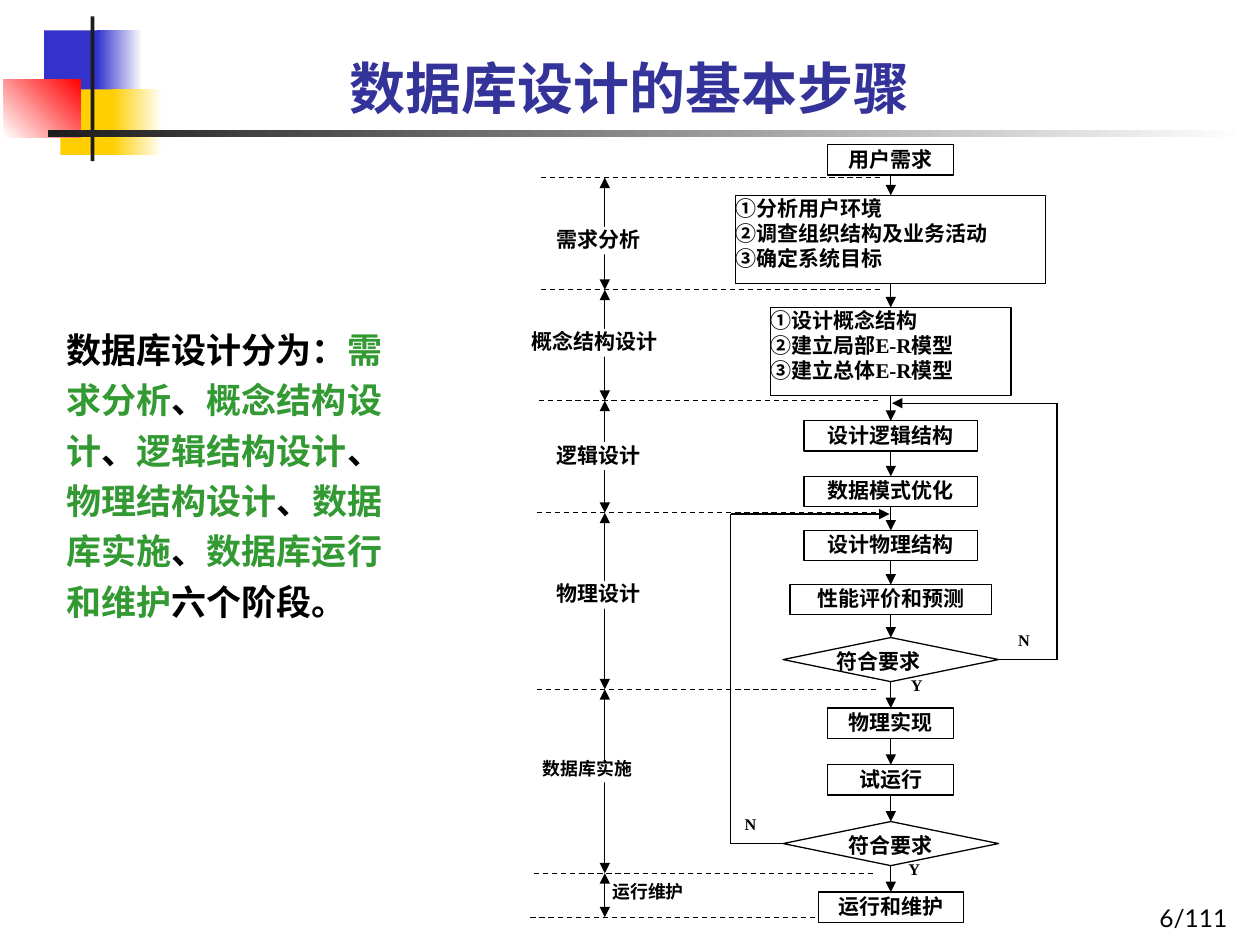
from lxml import etree
from pptx import Presentation
from pptx.dml.color import RGBColor
from pptx.enum import dml, shapes, text
from pptx.oxml.ns import qn
from pptx.util import Inches, Pt

THEME = {
    "black": "000000", "white": "FFFFFF", "title": "333399", "accent": "339933",
    "blue": "3333CC", "yellow": "FFCF01", "red": "FF0000", "bar": "1C1C1C",
    "heading_font": "Lato", "diagram_font": "Times New Roman",
    "title_size": 32, "body_size": 20, "page_size": 14,
    "step_size": 12, "small_size": 10.2, "branch_size": 9.3, "line": 0.75,
}

TITLE = "数据库设计的基本步骤"
PAGE = "6/111"
INTRO = "数据库设计分为："
STAGES = ["需求分析", "概念结构设计", "逻辑结构设计", "物理结构设计", "数据库实施", "数据库运行和维护"]
ENDING = "六个阶段。"

# Decoration: left, top, width, height, colours from start to end, angle
DECORATION = [
    (0.35, 0.24, 0.48, 0.52, ["blue"], 0),
    (0.77, 0.24, 0.36, 0.52, ["blue", "white"], 0),
    (0.48, 0.71, 0.46, 0.52, ["yellow"], 0),
    (0.89, 0.71, 0.40, 0.52, ["yellow", "white"], 0),
    (0.03, 0.63, 0.61, 0.46, ["white", "red"], 45),
    (0.72, 0.13, 0.03, 1.15, ["bar"], 0),
    (0.38, 1.03, 9.51, 0.06, ["bar", "white"], 0),
]

# Flow steps from top to bottom: kind, top, width, lines of text
FLOW_X = 7.07
STEPS = [
    ("box", 1.15, 1.00, ["用户需求"]),
    ("list", 1.55, 2.46, ["①分析用户环境", "②调查组织结构及业务活动", "③确定系统目标"]),
    ("list", 2.44, 1.91, ["①设计概念结构", "②建立局部E-R模型", "③建立总体E-R模型"]),
    ("box", 3.34, 1.38, ["设计逻辑结构"]),
    ("box", 3.78, 1.38, ["数据模式优化"]),
    ("box", 4.21, 1.38, ["设计物理结构"]),
    ("box", 4.64, 1.60, ["性能评价和预测"]),
    ("check", 5.06, 1.71, ["符合要求"]),
    ("box", 5.62, 1.00, ["物理实现"]),
    ("box", 6.07, 1.00, ["试运行"]),
    ("check", 6.52, 1.71, ["符合要求"]),
    ("box", 7.08, 1.15, ["运行和维护"]),
]
HEIGHTS = {"box": 0.24, "list": 0.70, "check": 0.35}
FIRST_CHECK, SECOND_CHECK = 7, 10

# Dashed borders between phases: left, y
BORDERS = [(4.29, 1.41), (4.29, 2.30), (4.28, 3.18), (4.26, 4.07),
           (4.26, 5.47), (4.24, 6.93), (4.21, 7.28)]
BORDER_WIDTH = 2.72
PHASE_X = 4.8
# Phase labels: text, left, top, width, height, size
PHASES = [
    ("需求分析", 4.42, 1.80, 0.98, 0.22, "step_size"),
    ("概念结构设计", 4.22, 2.61, 1.29, 0.22, "step_size"),
    ("逻辑设计", 4.42, 3.51, 0.98, 0.22, "step_size"),
    ("物理设计", 4.42, 4.61, 0.98, 0.22, "step_size"),
    ("数据库实施", 4.31, 6.03, 1.20, 0.18, "small_size"),
    ("运行维护", 4.86, 7.01, 0.98, 0.17, "small_size"),
]

# Way back from a check: step, side, outer x, y of return, x of arrow tip
RETURNS = [(FIRST_CHECK, 3, 8.39, 3.20, 7.08), (SECOND_CHECK, 1, 5.80, 4.08, 7.06)]
BRANCHES = [("Y", 7.23, 5.39), ("N", 8.08, 5.03), ("Y", 7.21, 6.85), ("N", 5.91, 6.49)]


def rgb(name):
    return RGBColor.from_string(THEME[name])


def add_run(paragraph, words, size, color="black", font="diagram_font", bold=True):
    run = paragraph.add_run()
    run.text = words
    run.font.name = THEME[font]
    run.font.size = Pt(THEME[size])
    run.font.bold = bold
    run.font.color.rgb = rgb(color)


def prepare_frame(shape, anchor=text.MSO_ANCHOR.TOP, inset=(0, 0, 0, 0)):
    frame = shape.text_frame
    frame.word_wrap = True
    frame.auto_size = text.MSO_AUTO_SIZE.NONE
    frame.vertical_anchor = anchor
    (frame.margin_left, frame.margin_top,
     frame.margin_right, frame.margin_bottom) = map(Inches, inset)
    return frame


def add_text(shape, lines, size, align=text.PP_ALIGN.LEFT, spacing=None, top=0):
    frame = prepare_frame(shape, inset=(0, top, 0, 0))
    for index, line in enumerate(lines):
        paragraph = frame.add_paragraph() if index else frame.paragraphs[0]
        paragraph.alignment = align
        paragraph.line_spacing = spacing
        add_run(paragraph, line, size)


def add_block(slide, kind, place, colors, angle=0, outlined=False):
    shape = slide.shapes.add_shape(kind, *map(Inches, place))
    shape.shadow.inherit = False
    if len(colors) == 1:
        shape.fill.solid()
        shape.fill.fore_color.rgb = rgb(colors[0])
    else:
        shape.fill.gradient()
        shape.fill.gradient_angle = angle
        for stop, color in zip(shape.fill.gradient_stops, colors):
            stop.color.rgb = rgb(color)
    if outlined:
        shape.line.color.rgb = rgb("black")
        shape.line.width = Pt(THEME["line"])
    else:
        shape.line.fill.background()
    return shape


def add_line(slide, start, end, ends=(), dashed=False):
    """Draw a straight line; ends names the arrowheads, headEnd before tailEnd."""
    connector = slide.shapes.add_connector(
        shapes.MSO_CONNECTOR.STRAIGHT, *map(Inches, (*start, *end)))
    connector.line.color.rgb = rgb("black")
    connector.line.width = Pt(THEME["line"])
    if dashed:
        connector.line.dash_style = dml.MSO_LINE.DASH
    properties = connector._element.spPr
    for name in ends:
        etree.SubElement(properties.find(qn("a:ln")), qn("a:" + name), type="triangle")
    etree.SubElement(properties, qn("a:effectLst"))
    return connector


def add_headings(slide):
    title = slide.shapes.title
    title.left, title.top, title.width, title.height = map(Inches, (0.75, 0.28, 8.5, 0.73))
    page = slide.shapes.add_textbox(*map(Inches, (7.76, 6.95, 2.08, 0.5)))
    body = slide.shapes.add_textbox(*map(Inches, (0.43, 2.49, 2.76, 2.84)))
    bottom, inset = text.MSO_ANCHOR.BOTTOM, (0.1, 0.05, 0.1, 0.05)

    paragraph = prepare_frame(title, bottom, inset).paragraphs[0]
    paragraph.alignment = text.PP_ALIGN.CENTER
    add_run(paragraph, TITLE, "title_size", "title", "heading_font")

    paragraph = prepare_frame(page, bottom, inset).paragraphs[0]
    paragraph.alignment = text.PP_ALIGN.RIGHT
    add_run(paragraph, PAGE, "page_size", font="heading_font", bold=False)

    paragraph = prepare_frame(body, inset=inset).paragraphs[0]
    paragraph.line_spacing = 1.2
    add_run(paragraph, INTRO, "body_size", font="heading_font")
    for index, stage in enumerate(STAGES):
        if index:
            add_run(paragraph, "、", "body_size", font="heading_font")
        add_run(paragraph, stage, "body_size", "accent", "heading_font")
    add_run(paragraph, ENDING, "body_size", font="heading_font")


def add_phases(slide):
    for left, y in BORDERS:
        add_line(slide, (left, y), (left + BORDER_WIDTH, y), dashed=True)
    for (_, top), (_, bottom), phase in zip(BORDERS, BORDERS[1:], PHASES):
        add_line(slide, (PHASE_X, top), (PHASE_X, bottom), ("headEnd", "tailEnd"))
        words, *place, size = phase
        label = add_block(slide, shapes.MSO_SHAPE.RECTANGLE, place, ["white"])
        add_text(label, [words], size, spacing=0.9 if size == "small_size" else None)


def add_flow(slide):
    steps = []
    for index, (kind, top, width, lines) in enumerate(STEPS):
        outline = shapes.MSO_SHAPE.DIAMOND if kind == "check" else shapes.MSO_SHAPE.RECTANGLE
        place = (FLOW_X - width / 2, top, width, HEIGHTS[kind])
        step = add_block(slide, outline, place, ["white"], outlined=True)
        left_aligned = kind == "list" or index == FIRST_CHECK
        add_text(step, lines, "step_size",
                 text.PP_ALIGN.LEFT if left_aligned else text.PP_ALIGN.CENTER,
                 top=0.01 if kind == "box" else 0)
        steps.append(step)
    for upper, lower in zip(steps, steps[1:]):
        arrow = add_line(slide, (FLOW_X, 0), (FLOW_X, 1), ("tailEnd",))
        arrow.begin_connect(upper, 2)
        arrow.end_connect(lower, 0)
    for index, side, outer, y, tip in RETURNS:
        kind, top, _, _ = STEPS[index]
        middle = top + HEIGHTS[kind] / 2
        add_line(slide, (FLOW_X, middle), (outer, middle)).begin_connect(steps[index], side)
        add_line(slide, (outer, middle), (outer, y))
        add_line(slide, (outer, y), (tip, y), ("tailEnd",))
    for words, left, top in BRANCHES:
        label = slide.shapes.add_textbox(*map(Inches, (left, top, 0.23, 0.16)))
        add_text(label, [words], "branch_size", spacing=0.8)


def main():
    presentation = Presentation()
    presentation.slide_width, presentation.slide_height = Inches(10), Inches(7.5)
    slide = presentation.slides.add_slide(presentation.slide_layouts.get_by_name("Title Only"))
    for *place, colors, angle in DECORATION:
        add_block(slide, shapes.MSO_SHAPE.RECTANGLE, place, colors, angle)
    add_headings(slide)
    add_phases(slide)
    add_flow(slide)
    presentation.save("out.pptx")


if __name__ == "__main__":
    main()
